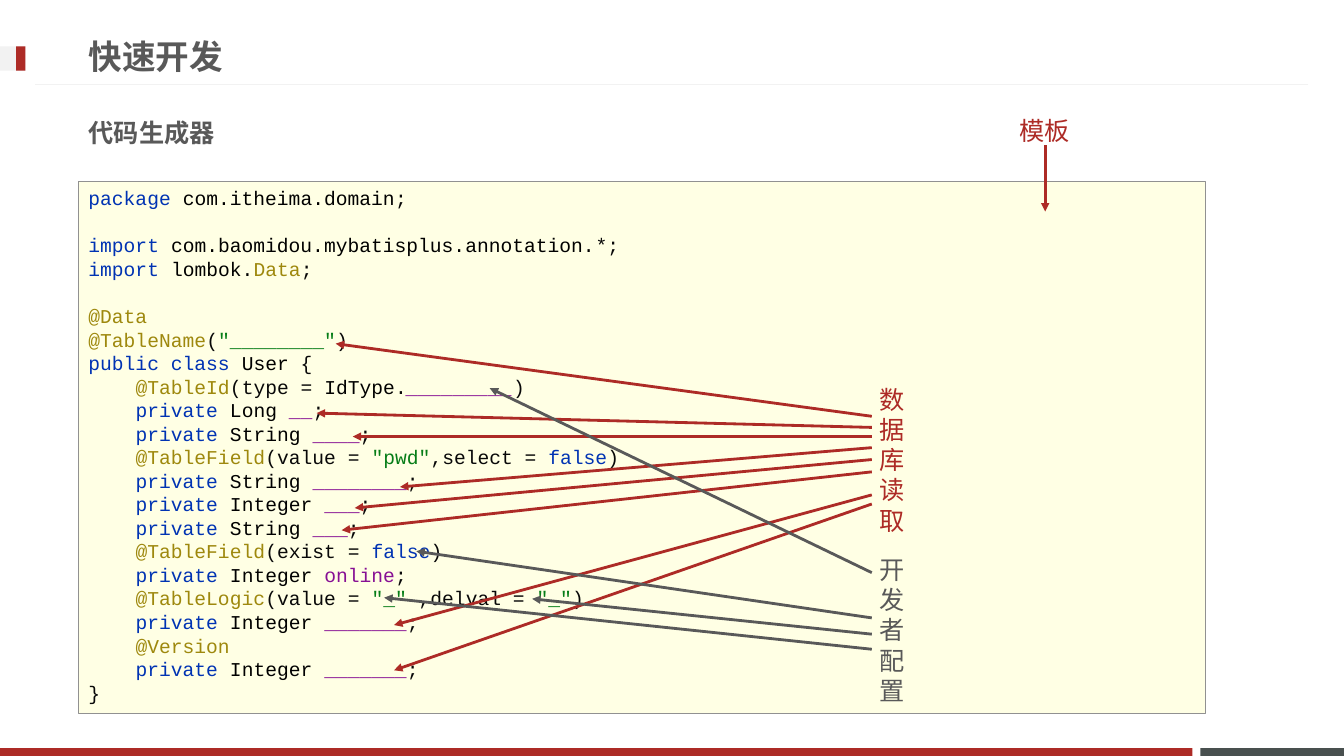
import pptx
import pptx.dml.color
import pptx.enum.shapes
import pptx.enum.text
import pptx.oxml
import pptx.util
from dataclasses import dataclass

Cm, Pt = pptx.util.Cm, pptx.util.Pt
MSO_SHAPE = pptx.enum.shapes.MSO_SHAPE
PP_ALIGN = pptx.enum.text.PP_ALIGN
ANCHOR = pptx.enum.text.MSO_ANCHOR

FONT = "Courier New"
COLOURS = {
    "red": "AD2B26", "grey": "595959", "slate": "49504F", "pale": "F2F2F2",
    "paper": "FFFFE4", "border": "919191",
    "keyword": "0033B3", "name": "000000", "plain": "080808",
    "annotation": "9E880D", "string": "067D17", "field": "871094",
    "constant": "871094",
}


@dataclass
class Bar:
    left: float
    top: float
    width: float
    height: float
    fill: str
    border: str = ""


@dataclass
class Label:
    words: list[str]
    left: float
    top: float
    width: float
    height: float
    colour: str
    wrap: bool = False


@dataclass
class Arrow:
    start: tuple[float, float]
    end: tuple[float, float]
    colour: str
    width: float = 2
    head: bool = True


@dataclass
class Heading:
    words: str
    top: float
    width: float
    size: int


Line = list[tuple[str, str]]


def member(kind: str, name: str) -> Line:
    """One private member of the class, as coloured pieces."""
    return [("plain", "    "), ("keyword", "private "), ("name", kind + " "),
            ("field", name), ("plain", ";")]


def annotation(name: str, *rest: tuple[str, str]) -> Line:
    return [("plain", "    "), ("annotation", name), *rest]


CODE: list[Line] = [
    [("keyword", "package "), ("name", "com.itheima.domain"), ("plain", ";")],
    [],
    [("keyword", "import "), ("name", "com.baomidou.mybatisplus.annotation."), ("plain", "*;")],
    [("keyword", "import "), ("name", "lombok."), ("annotation", "Data"), ("plain", ";")],
    [],
    [("annotation", "@Data")],
    [("annotation", "@TableName"), ("plain", "("), ("string", '"________"'), ("plain", ")")],
    [("keyword", "public class "), ("name", "User "), ("plain", "{")],
    annotation("@TableId", ("plain", "(type = "), ("name", "IdType"), ("plain", "."),
               ("constant", "_________"), ("plain", ")")),
    member("Long", "__"),
    member("String", "____"),
    annotation("@TableField", ("plain", "(value = "), ("string", '"pwd"'),
               ("plain", ",select = "), ("keyword", "false"), ("plain", ")")),
    member("String", "________"),
    member("Integer", "___"),
    member("String", "___"),
    annotation("@TableField", ("plain", "(exist = "), ("keyword", "false"), ("plain", ")")),
    member("Integer", "online"),
    annotation("@TableLogic", ("plain", "(value = "), ("string", '"_" '),
               ("plain", ",delval = "), ("string", '"_"'), ("plain", ")")),
    member("Integer", "_______"),
    annotation("@Version"),
    member("Integer", "_______"),
    [("plain", "}")],
]

FRAME = [
    Bar(30.25, 18.85, 3.62, 0.2, "slate"),
    Bar(0, 18.85, 30.05, 0.2, "red"),
    Bar(0, 1.17, 0.64, 0.61, "pale"),
    Bar(0.41, 1.17, 0.23, 0.61, "red"),
]
TITLE_RULE = Arrow((32.97, 2.13), (0.89, 2.13), "pale", 0.75, False)
CODE_PANEL = Bar(1.98, 4.57, 28.4, 13.41, "paper", "border")
HEADINGS = [Heading("快速开发", 0.69, 24.36, 24), Heading("代码生成器", 2.62, 29.87, 18)]

LABELS = [
    Label(list("数据库读取"), 21.92, 9.55, 1.14, 4.11, "red"),
    Label(["模板"], 25.45, 2.77, 1.78, 1.02, "red"),
    Label(list("开发者配置"), 21.92, 13.84, 2.16, 4.11, "grey", True),
]

# Start height beside the label, then the arrow tip in the code
DATABASE_TIPS = [
    (10.49, 8.46, 8.66), (10.77, 7.98, 10.41), (11, 8.89, 11), (11.28, 10.08, 12.27),
    (11.58, 8.94, 12.8), (11.89, 8.61, 13.36), (12.47, 9.93, 15.75), (12.7, 9.93, 16.89),
]
DEVELOPER_TIPS = [
    (14.43, 12.34, 9.78), (15.57, 10.49, 13.89), (16.36, 9.68, 15.06), (15.98, 13.41, 15.09),
]
ARROWS = [Arrow((26.34, 3.66), (26.34, 5.33), "red")] + [
    Arrow((21.97, y), (tip_x, tip_y), colour)
    for colour, tips in (("red", DATABASE_TIPS), ("grey", DEVELOPER_TIPS))
    for y, tip_x, tip_y in tips
]


def rgb(name: str) -> pptx.dml.color.RGBColor:
    return pptx.dml.color.RGBColor.from_string(COLOURS[name])


def style(font, colour: str, size: int, **extra) -> None:
    for key, value in {"name": FONT, "size": Pt(size), **extra}.items():
        setattr(font, key, value)
    font.color.rgb = rgb(colour)


def draw_bar(slide, bar: Bar):
    shape = slide.shapes.add_shape(MSO_SHAPE.RECTANGLE, Cm(bar.left), Cm(bar.top),
                                   Cm(bar.width), Cm(bar.height))
    shape.shadow.inherit = False
    shape.fill.solid()
    shape.fill.fore_color.rgb = rgb(bar.fill)
    if bar.border:
        shape.line.color.rgb = rgb(bar.border)
        shape.line.width = Pt(0.25)
    else:
        shape.line.fill.background()
    return shape


def draw_arrow(slide, arrow: Arrow) -> None:
    connector = slide.shapes.add_connector(
        pptx.enum.shapes.MSO_CONNECTOR.STRAIGHT,
        *(Cm(value) for value in arrow.start + arrow.end))
    connector.line.color.rgb = rgb(arrow.colour)
    connector.line.width = Pt(arrow.width)
    if arrow.head:
        tail = pptx.oxml.parse_xml(
            '<a:tailEnd xmlns:a="http://schemas.openxmlformats.org/drawingml/2006/main"'
            ' type="triangle"/>')
        connector.line._get_or_add_ln().append(tail)
    properties = connector._element.spPr
    properties.append(pptx.oxml.parse_xml(
        '<a:effectLst xmlns:a="http://schemas.openxmlformats.org/drawingml/2006/main"/>'))


def draw_label(slide, label: Label) -> None:
    box = slide.shapes.add_textbox(Cm(label.left), Cm(label.top), Cm(label.width), Cm(label.height))
    frame = box.text_frame
    frame.word_wrap = label.wrap
    frame.text = "\n".join(label.words)
    for paragraph in frame.paragraphs:
        style(paragraph.font, label.colour, 18)


def fill_heading(placeholder, heading: Heading) -> None:
    place = {"left": 1.98, "top": heading.top, "width": heading.width, "height": 1.45}
    for key, value in place.items():
        setattr(placeholder, key, Cm(value))
    frame = placeholder.text_frame
    frame.text = heading.words
    frame.vertical_anchor = ANCHOR.MIDDLE
    frame.auto_size = pptx.enum.text.MSO_AUTO_SIZE.NONE
    paragraph = frame.paragraphs[0]
    paragraph.alignment = PP_ALIGN.LEFT
    paragraph.space_before = Pt(0)
    properties = paragraph._p.get_or_add_pPr()
    properties.set("marL", "0")
    properties.set("indent", "0")
    properties.append(pptx.oxml.parse_xml(
        '<a:buNone xmlns:a="http://schemas.openxmlformats.org/drawingml/2006/main"/>'))
    style(paragraph.font, "grey", heading.size, bold=True)


def write_code(panel) -> None:
    frame = panel.text_frame
    frame.word_wrap = True
    frame.vertical_anchor = ANCHOR.TOP
    listing = frame.paragraphs[0]
    listing.alignment = PP_ALIGN.LEFT
    style(listing.font, "plain", 14)
    for number, line in enumerate(CODE):
        if number:
            listing.add_line_break()
        for kind, words in line:
            piece = listing.add_run()
            piece.text = words
            style(piece.font, kind, 14, italic=kind == "constant")
    # Line breaks take the size of the code, so empty lines keep their height
    for line_break in listing._p.findall(pptx.oxml.ns.qn("a:br")):
        line_break.append(pptx.oxml.parse_xml(
            '<a:rPr xmlns:a="http://schemas.openxmlformats.org/drawingml/2006/main" sz="1400">'
            f'<a:latin typeface="{FONT}"/></a:rPr>'))


def main() -> None:
    deck = pptx.Presentation()
    deck.slide_width, deck.slide_height = Cm(33.87), Cm(19.05)
    slide = deck.slides.add_slide(deck.slide_layouts[1])
    # Frame and headings
    for bar in FRAME:
        draw_bar(slide, bar)
    draw_arrow(slide, TITLE_RULE)
    for placeholder, heading in zip(slide.placeholders, HEADINGS):
        fill_heading(placeholder, heading)
    # Code with its explanations
    write_code(draw_bar(slide, CODE_PANEL))
    for arrow in ARROWS:
        draw_arrow(slide, arrow)
    for label in LABELS:
        draw_label(slide, label)
    deck.save("out.pptx")


if __name__ == "__main__":
    main()
